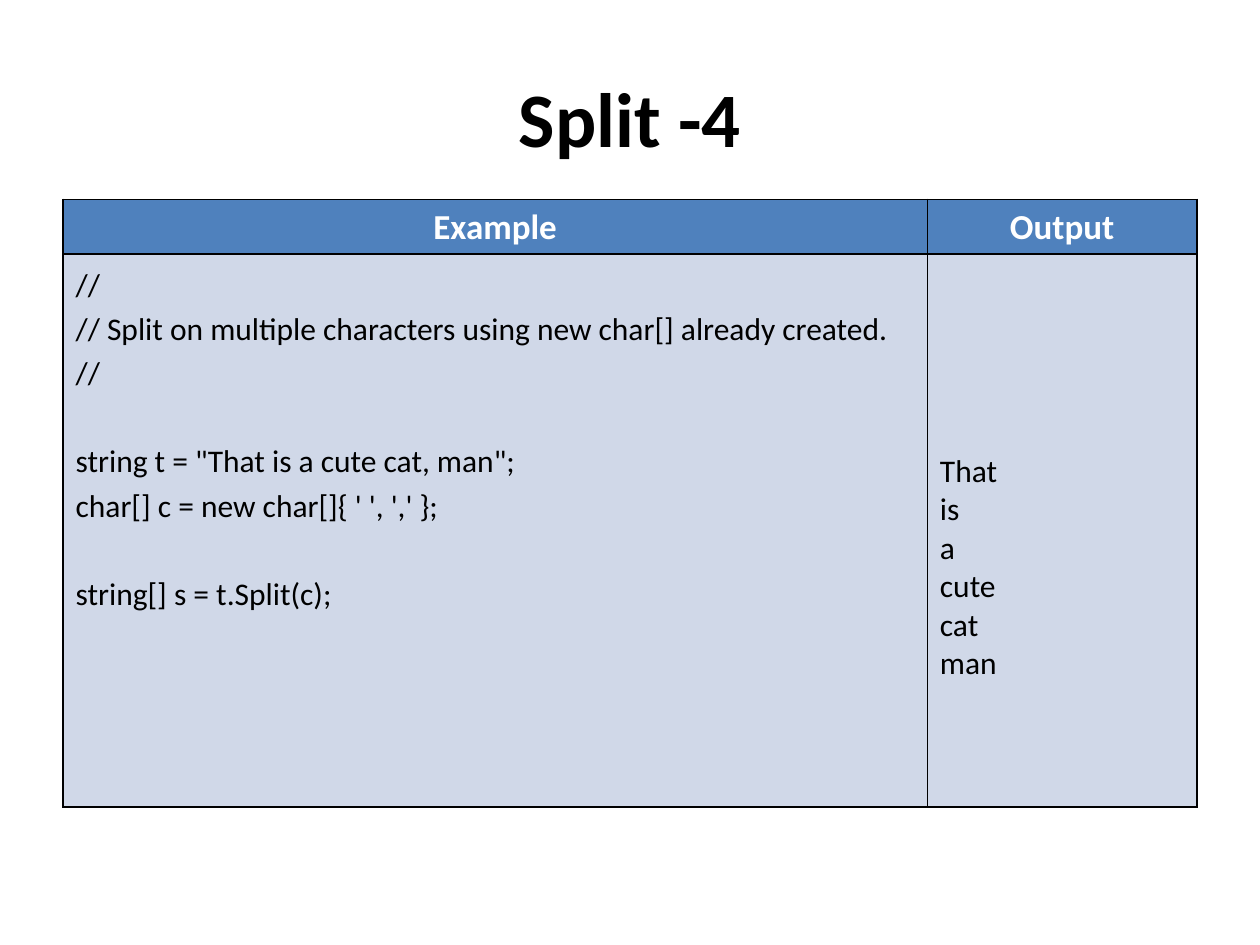
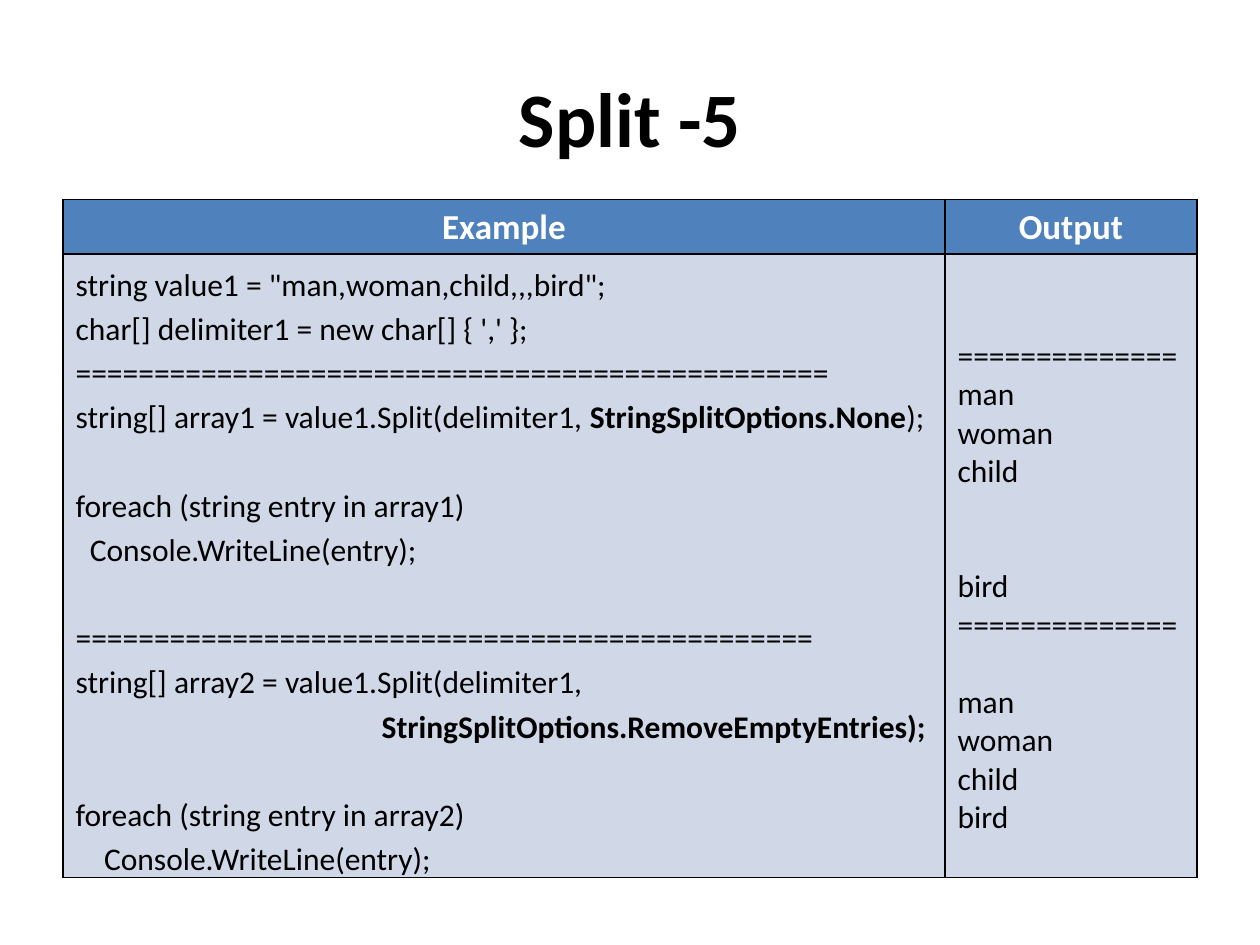
from lxml import etree
from pptx import Presentation
from pptx import util as u
from pptx.dml.color import RGBColor
from pptx.enum import text
from pptx.oxml.ns import qn

BLACK = RGBColor(0x00, 0x00, 0x00)
WHITE = RGBColor(0xFF, 0xFF, 0xFF)
HEADER_BLUE = RGBColor(0x4F, 0x81, 0xBD)
BODY_BLUE = RGBColor(0xD0, 0xD8, 0xE8)
FONT = "Calibri"
BODY_SIZE = 18
LINE_HEIGHT = 1.22 * BODY_SIZE  # points, single spacing
SPACE_WIDTH = 0.226 * BODY_SIZE  # points, one character of indent
CODE_SPACING = 1.15

deck = Presentation()
deck.slide_width, deck.slide_height = u.Inches(10), u.Inches(7.5)
WIDTH, HEIGHT = deck.slide_width, deck.slide_height
LEFT, TABLE_WIDTH = int(0.05 * WIDTH), int(0.9 * WIDTH)

# Each line: (empty lines above, indent in characters, text with **bold** parts)
pages = [
    ("Split -4", 0.686, [
        (0, 0, "//"),
        (0, 0, "// Split on multiple characters using new char[] already created."),
        (0, 0, "//"),
        (1, 0, 'string t = "That is a cute cat, man";'),
        (0, 0, "char[] c = new char[]{ ' ', ',' };"),
        (1, 0, "string[] s = t.Split(c);"),
    ], [
        (5, 0, "That"), (0, 0, "is"), (0, 0, "a"),
        (0, 0, "cute"), (0, 0, "cat"), (0, 0, "man"),
    ]),
    ("Split -5", 0.7, [
        (0, 0, 'string value1 = "man,woman,child,,,bird";'),
        (0, 0, "char[] delimiter1 = new char[] { ',' };"),
        (0, 0, "=" * 48),
        (0, 0, "string[] array1 = value1.Split(delimiter1, **StringSplitOptions.None**);"),
        (1, 0, "foreach (string entry in array1)"),
        (0, 2, "Console.WriteLine(entry);"),
        (1, 0, "=" * 47),
        (0, 0, "string[] array2 = value1.Split(delimiter1,"),
        (0, 43, "**StringSplitOptions.RemoveEmptyEntries);**"),
        (1, 0, "foreach (string entry in array2)"),
        (0, 4, "Console.WriteLine(entry);"),
    ], [
        (2, 0, "=" * 14), (0, 0, "man"), (0, 0, "woman"), (0, 0, "child"),
        (2, 0, "bird"), (0, 0, "=" * 14),
        (1, 0, "man"), (0, 0, "woman"), (0, 0, "child"), (0, 0, "bird"),
    ]),
]


def style(span, size, color, bold):
    span.font.name, span.font.size = FONT, u.Pt(size)
    span.font.color.rgb, span.font.bold = color, bold


def fill_lines(cell, lines, spacing):
    for number, (gap, indent, line) in enumerate(lines):
        frame = cell.text_frame
        para = frame.add_paragraph() if number else frame.paragraphs[0]
        para.line_spacing = spacing
        space = u.Pt(gap * LINE_HEIGHT * spacing)
        if number:
            para.space_before = space
        else:
            cell.margin_top = u.Inches(0.05) + space
        if indent:
            para._p.get_or_add_pPr().set("marL", str(u.Pt(indent * SPACE_WIDTH)))
        for part, words in enumerate(line.split("**")):
            if words:
                span = para.add_run()
                span.text = words
                style(span, BODY_SIZE, BLACK, part % 2 == 1)


for title, code_share, code, output in pages:
    page = deck.slides.add_slide(deck.slide_layouts[6])

    # Title
    box = page.shapes.add_textbox(LEFT, int(0.04 * HEIGHT), TABLE_WIDTH, u.Inches(1.25))
    frame = box.text_frame
    frame.word_wrap = True
    frame.vertical_anchor = text.MSO_ANCHOR.MIDDLE
    frame.text = title
    para = frame.paragraphs[0]
    para.alignment = text.PP_ALIGN.CENTER
    style(para.runs[0], 44, BLACK, True)

    # Table grid
    table = page.shapes.add_table(
        2, 2, LEFT, int(0.211 * HEIGHT), TABLE_WIDTH, u.Inches(4.82)).table
    # Code column is a share of the slide, output takes the rest
    table.columns[0].width = int(code_share * WIDTH)
    table.columns[1].width = TABLE_WIDTH - table.columns[0].width
    table.rows[0].height, table.rows[1].height = u.Inches(0.43), u.Inches(4.39)

    # Header row
    for column, heading in enumerate(("Example", "Output")):
        cell = table.cell(0, column)
        cell.text_frame.text = heading
        para = cell.text_frame.paragraphs[0]
        para.alignment = text.PP_ALIGN.CENTER
        style(para.runs[0], 20, WHITE, True)

    # Body row
    fill_lines(table.cell(1, 0), code, CODE_SPACING)
    fill_lines(table.cell(1, 1), output, 1.0)

    # Cell fills and borders
    for row, color in enumerate((HEADER_BLUE, BODY_BLUE)):
        for column in range(2):
            cell = table.cell(row, column)
            cell.fill.solid()
            cell.fill.fore_color.rgb = color
            properties = cell._tc.get_or_add_tcPr()
            for place, side in enumerate(("lnL", "lnR", "lnT", "lnB")):
                line = etree.Element(qn("a:" + side), w=str(u.Pt(1)))
                solid = etree.SubElement(line, qn("a:solidFill"))
                etree.SubElement(solid, qn("a:srgbClr"), val=str(BLACK))
                properties.insert(place, line)

deck.save("out.pptx")
